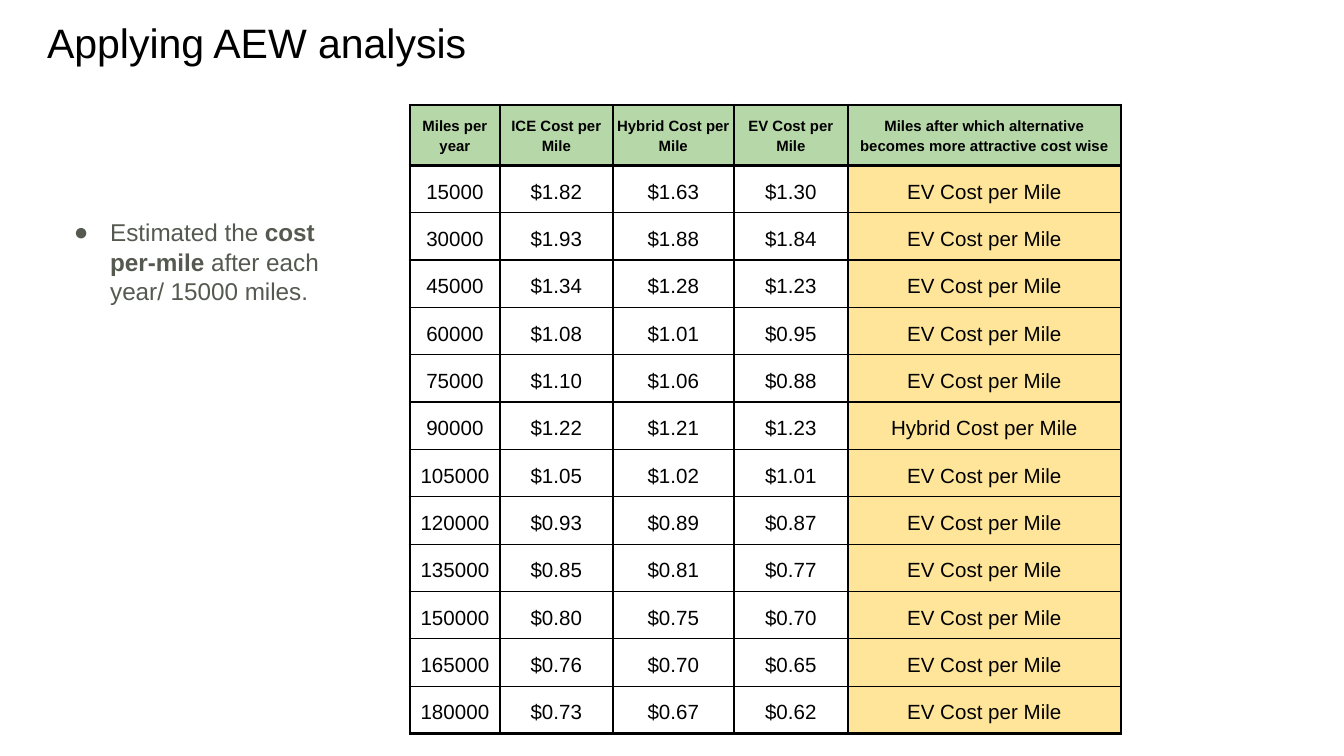
import dataclasses

import pptx
import pptx.dml.color
import pptx.enum.text
import pptx.oxml
import pptx.oxml.ns
import pptx.util

Inches = pptx.util.Inches
Pt = pptx.util.Pt
Align = pptx.enum.text.PP_ALIGN
Anchor = pptx.enum.text.MSO_ANCHOR

FONT = "Arial"
BLACK, GREY = "000000", "555A50"
GREEN, YELLOW = "B6D7A8", "FFE599"
THICK, THIN = 1.5, 0.75


@dataclasses.dataclass
class Look:
    size: float
    bold: bool
    anchor: Anchor
    fill: str | None
    top: float
    base: float


@dataclasses.dataclass
class Cost:
    miles: int
    ice: float
    hybrid: float
    ev: float


HEADS = ["Miles per year", "ICE Cost per Mile", "Hybrid Cost per Mile",
         "EV Cost per Mile",
         "Miles after which alternative becomes more attractive cost wise"]
WIDTHS = [0.67, 0.84, 0.9, 0.85, 2.03]
COSTS = [
    Cost(15000, 1.82, 1.63, 1.30),
    Cost(30000, 1.93, 1.88, 1.84),
    Cost(45000, 1.34, 1.28, 1.23),
    Cost(60000, 1.08, 1.01, 0.95),
    Cost(75000, 1.10, 1.06, 0.88),
    Cost(90000, 1.22, 1.21, 1.23),
    Cost(105000, 1.05, 1.02, 1.01),
    Cost(120000, 0.93, 0.89, 0.87),
    Cost(135000, 0.85, 0.81, 0.77),
    Cost(150000, 0.80, 0.75, 0.70),
    Cost(165000, 0.76, 0.70, 0.65),
    Cost(180000, 0.73, 0.67, 0.62),
]


def color(code: str) -> pptx.dml.color.RGBColor:
    return pptx.dml.color.RGBColor.from_string(code)


def add_tag(parent, text: str) -> None:
    """Append a drawing element given as XML without its namespace."""
    space = pptx.oxml.ns.nsdecls("a")
    head, tail = text.split(" ", 1)
    parent.append(pptx.oxml.parse_xml(f"<a:{head} {space} {tail}"))


def add_run(para, text: str, size: float, code: str, bold: bool = False) -> None:
    run = para.add_run()
    run.text = text
    run.font.name = FONT
    run.font.size = Pt(size)
    run.font.bold = bold
    run.font.color.rgb = color(code)


def place(shape, left: float, top: float, width: float, height: float):
    """Move a placeholder and return its formatted text frame."""
    shape.left, shape.top = Inches(left), Inches(top)
    shape.width, shape.height = Inches(width), Inches(height)
    frame = shape.text_frame
    frame.word_wrap = True
    frame.auto_size = pptx.enum.text.MSO_AUTO_SIZE.NONE
    frame.vertical_anchor = Anchor.TOP
    frame.margin_left = frame.margin_right = Inches(0.1)
    frame.margin_top = frame.margin_bottom = Inches(0.1)
    para = frame.paragraphs[0]
    para.alignment = Align.LEFT
    para.space_before = Pt(0)
    return frame


def fill_cell(cell, text: str, look: Look) -> None:
    cell.margin_left = cell.margin_right = Inches(0.02)
    cell.margin_top = cell.margin_bottom = Inches(0.07)
    cell.vertical_anchor = look.anchor
    para = cell.text_frame.paragraphs[0]
    para.alignment = Align.CENTER
    para.line_spacing = 1.15
    add_run(para, text, look.size, BLACK, look.bold)

    # Borders come before the fill in the cell properties
    props = cell._tc.get_or_add_tcPr()
    sides = {"L": THICK, "R": THICK, "T": look.top, "B": look.base}
    for side, width in sides.items():
        add_tag(props, f'ln{side} w="{Pt(width)}"><a:solidFill>'
                       f'<a:srgbClr val="{BLACK}"/></a:solidFill></a:ln{side}>')
    if look.fill:
        cell.fill.solid()
        cell.fill.fore_color.rgb = color(look.fill)
    else:
        cell.fill.background()


def cost_row(cost: Cost) -> list[str]:
    """Texts of one row, ending with the cheapest choice."""
    rates = [cost.ice, cost.hybrid, cost.ev]
    best = HEADS[1 + rates.index(min(rates))]
    return [str(cost.miles), *(f"${rate:.2f}" for rate in rates), best]


def add_costs(slide) -> None:
    rows = [HEADS, *map(cost_row, COSTS)]
    last = len(rows) - 1
    tall, head = 4.68, 0.45
    table = slide.shapes.add_table(
        len(rows), len(HEADS), Inches(3.05), Inches(0.78),
        Inches(sum(WIDTHS)), Inches(tall)).table
    table.first_row = table.horz_banding = False
    for col, width in zip(table.columns, WIDTHS):
        col.width = Inches(width)
    for r, texts in enumerate(rows):
        table.rows[r].height = Inches(head if r == 0 else (tall - head) / last)
        for c, text in enumerate(texts):
            if r == 0:
                look = Look(8, True, Anchor.MIDDLE, GREEN, THICK, THICK)
            else:
                look = Look(11, False, Anchor.BOTTOM,
                            YELLOW if c == len(HEADS) - 1 else None,
                            THICK if r == 1 else THIN,
                            THICK if r == last else THIN)
            fill_cell(table.cell(r, c), text, look)


def main() -> None:
    # Widescreen slide, 16 to 9
    deck = pptx.Presentation()
    deck.slide_width, deck.slide_height = Inches(10), Inches(10 * 9 / 16)
    slide = deck.slides.add_slide(deck.slide_layouts[1])

    # Title
    frame = place(slide.shapes.title, 0.25, 0.07, 9.32, 0.63)
    para = frame.paragraphs[0]
    para.line_spacing = 0.9
    add_run(para, "Applying AEW analysis", 22, BLACK)

    # Bullet beside the table
    frame = place(slide.placeholders[1], 0.34, 1.26, 2.24, 3.74)
    frame.margin_top = Inches(0.36)
    para = frame.paragraphs[0]
    para.line_spacing = 1.0
    props = para._p.get_or_add_pPr()
    props.set("marL", str(Inches(0.38)))
    props.set("indent", str(Inches(-0.27)))
    add_tag(props, f'buClr ><a:srgbClr val="{GREY}"/></a:buClr>')
    add_tag(props, 'buChar char="●"/>')
    add_run(para, "Estimated the ", 13, GREY)
    add_run(para, "cost per-mile", 13, GREY, True)
    add_run(para, " after each year/ 15000 miles.", 13, GREY)

    # Cost table
    add_costs(slide)
    deck.save("out.pptx")


if __name__ == "__main__":
    main()
